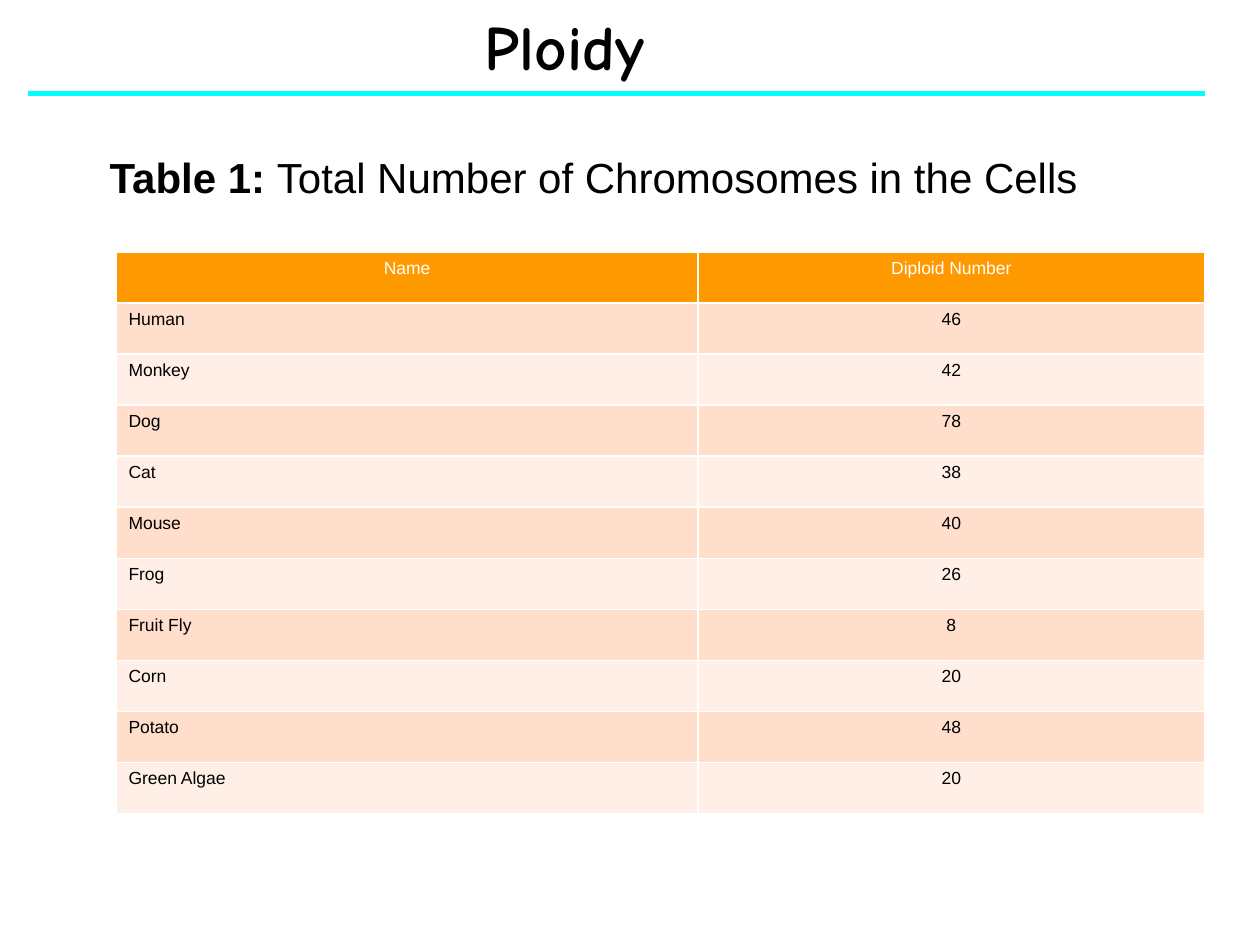
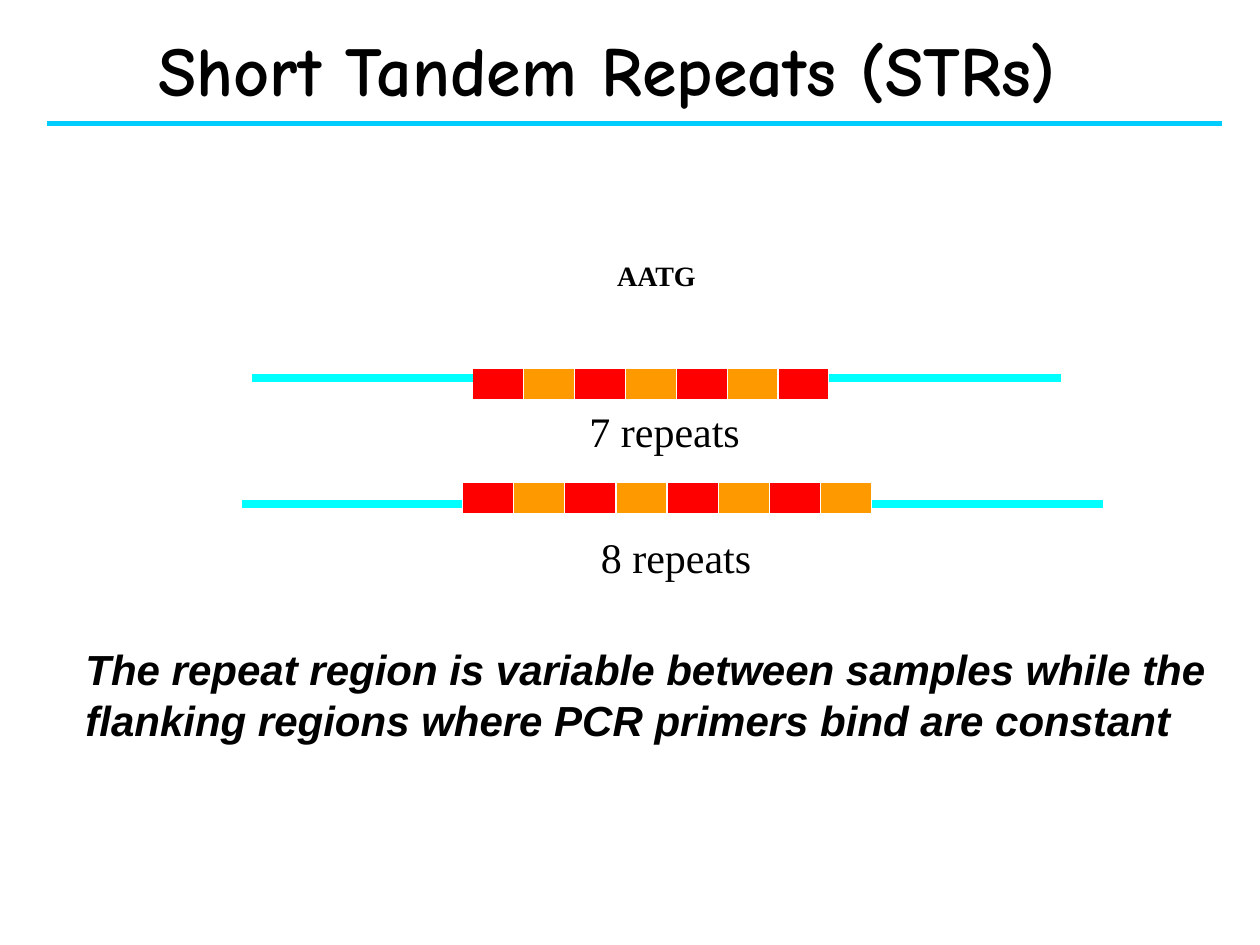
"""Build two genetics slides: a ploidy table and a short tandem repeat diagram."""
from lxml import etree
from pptx import Presentation
from pptx.dml.color import RGBColor
from pptx.enum import shapes, text
from pptx.oxml import ns
from pptx.util import Inches, Pt

BLACK = RGBColor(0x00, 0x00, 0x00)
WHITE = RGBColor(0xFF, 0xFF, 0xFF)
CYAN = RGBColor(0x00, 0xFF, 0xFF)
SKY = RGBColor(0x00, 0xCC, 0xFF)
RED = RGBColor(0xFF, 0x00, 0x00)
ORANGE = RGBColor(0xFF, 0x99, 0x00)
PEACH = RGBColor(0xFF, 0xDE, 0xCC)
PALE_PEACH = RGBColor(0xFF, 0xEF, 0xE7)
HEADING, SANS, SERIF = "Comic Neue", "Arial", "Times New Roman"
LEFT, CENTER = text.PP_ALIGN.LEFT, text.PP_ALIGN.CENTER


def write_text(box, place, content, size, font, bold=False, align=LEFT):
    """Place a text shape and format its single paragraph."""
    box.left, box.top, box.width, box.height = map(Inches, place)
    frame = box.text_frame
    frame.word_wrap = True
    frame.auto_size = text.MSO_AUTO_SIZE.NONE
    para = frame.paragraphs[0]
    para.text = content
    para.alignment = align
    para.font.size, para.font.name, para.font.bold = Pt(size), font, bold
    para.font.color.rgb = BLACK
    return para


def draw_line(page, start, end, y, color, weight):
    """Draw a horizontal line without a shadow."""
    line = page.shapes.add_connector(
        shapes.MSO_CONNECTOR.STRAIGHT, Inches(start), Inches(y), Inches(end), Inches(y))
    line.line.color.rgb = color
    line.line.width = Pt(weight)
    etree.SubElement(line._element.spPr, ns.qn("a:effectLst"))


deck = Presentation()
deck.slide_width, deck.slide_height = Inches(10), Inches(7.5)
title_only = deck.slide_layouts[5]

page = deck.slides.add_slide(title_only)
heading = page.shapes.add_textbox(0, 0, 0, 0)
para = write_text(heading, (3.75, 0.08, 2.86, 0.65), "Ploidy", 36, HEADING, True)
para.line_spacing = 0.9
draw_line(page, 0.22, 9.56, 0.74, CYAN, 3)

caption = page.shapes.title
para = write_text(caption, (0.77, 1.18, 8.78, 0.44), "", 24, SANS)
caption.text_frame.vertical_anchor = text.MSO_ANCHOR.MIDDLE
for content, bold in (("Table 1: ", True), ("Total Number of Chromosomes in the Cells", False)):
    span = para.add_run()
    span.text = content
    span.font.bold = bold

rows = [
    ("Name", "Diploid Number"),
    ("Human", "46"),
    ("Monkey", "42"),
    ("Dog", "78"),
    ("Cat", "38"),
    ("Mouse", "40"),
    ("Frog", "26"),
    ("Fruit Fly", "8"),
    ("Corn", "20"),
    ("Potato", "48"),
    ("Green Algae", "20"),
]
table = page.shapes.add_table(
    len(rows), 2, Inches(0.92), Inches(2), Inches(8.64), Inches(4.46)).table
table.columns[0].width, table.columns[1].width = Inches(4.62), Inches(4.02)
for row_index, row in enumerate(rows):
    is_header = row_index == 0
    for column_index, content in enumerate(row):
        cell = table.cell(row_index, column_index)
        cell.fill.solid()
        cell.fill.fore_color.rgb = ORANGE if is_header else (PALE_PEACH, PEACH)[row_index % 2]
        para = cell.text_frame.paragraphs[0]
        para.text = content
        para.alignment = CENTER if is_header or column_index else LEFT
        para.font.size, para.font.name, para.font.bold = Pt(10), SANS, False
        para.font.color.rgb = WHITE if is_header else BLACK
        properties = cell._tc.get_or_add_tcPr()
        for position, side in enumerate(("lnL", "lnR", "lnT", "lnB")):
            border = etree.Element(ns.qn(f"a:{side}"), w=str(Pt(1)))
            fill = etree.SubElement(border, ns.qn("a:solidFill"))
            etree.SubElement(fill, ns.qn("a:srgbClr"), val=str(WHITE))
            properties.insert(position, border)

page = deck.slides.add_slide(title_only)
title = page.shapes.title
write_text(title, (0.32, 0.17, 9, 0.74), "Short Tandem Repeats (STRs)", 40, HEADING, True, CENTER)
title.text_frame.vertical_anchor = text.MSO_ANCHOR.MIDDLE
draw_line(page, 0.37, 9.7, 0.98, SKY, 3)

alleles = [
    (7, 2, 3.75, 6.58, 8.42, 3, 2.92),
    (8, 1.92, 3.67, 6.92, 8.75, 4, 3.83),
]
for count, start, first, last, end, strand_y, repeat_y in alleles:
    pitch = (last - first) / count
    for index in range(count):
        repeat = page.shapes.add_shape(
            shapes.MSO_SHAPE.RECTANGLE, Inches(first + index * pitch), Inches(repeat_y),
            Inches(pitch), Inches(0.25))
        repeat.shadow.inherit = False
        repeat.fill.solid()
        repeat.fill.fore_color.rgb = (RED, ORANGE)[index % 2]
        repeat.line.color.rgb = WHITE
        repeat.line.width = Pt(0.75)
    draw_line(page, start, first, strand_y, CYAN, 4.5)
    draw_line(page, last, end, strand_y, CYAN, 4.5)

labels = [
    ((4.75, 2, 0.92, 0.38), "AATG", 16, SERIF, True, CENTER),
    ((4.58, 3.17, 1.92, 0.5), "7 repeats", 24, SERIF),
    ((4.67, 4.17, 1.92, 0.5), "8 repeats", 24, SERIF),
]
for label in labels:
    write_text(page.shapes.add_textbox(0, 0, 0, 0), *label)

summary = ("The repeat region is variable between samples while the "
           "flanking regions where PCR primers bind are constant")
para = write_text(
    page.shapes.add_textbox(0, 0, 0, 0), (0.58, 5.06, 9.18, 0.9), summary, 24, SANS, True)
para.font.italic = True

deck.save("out.pptx")
